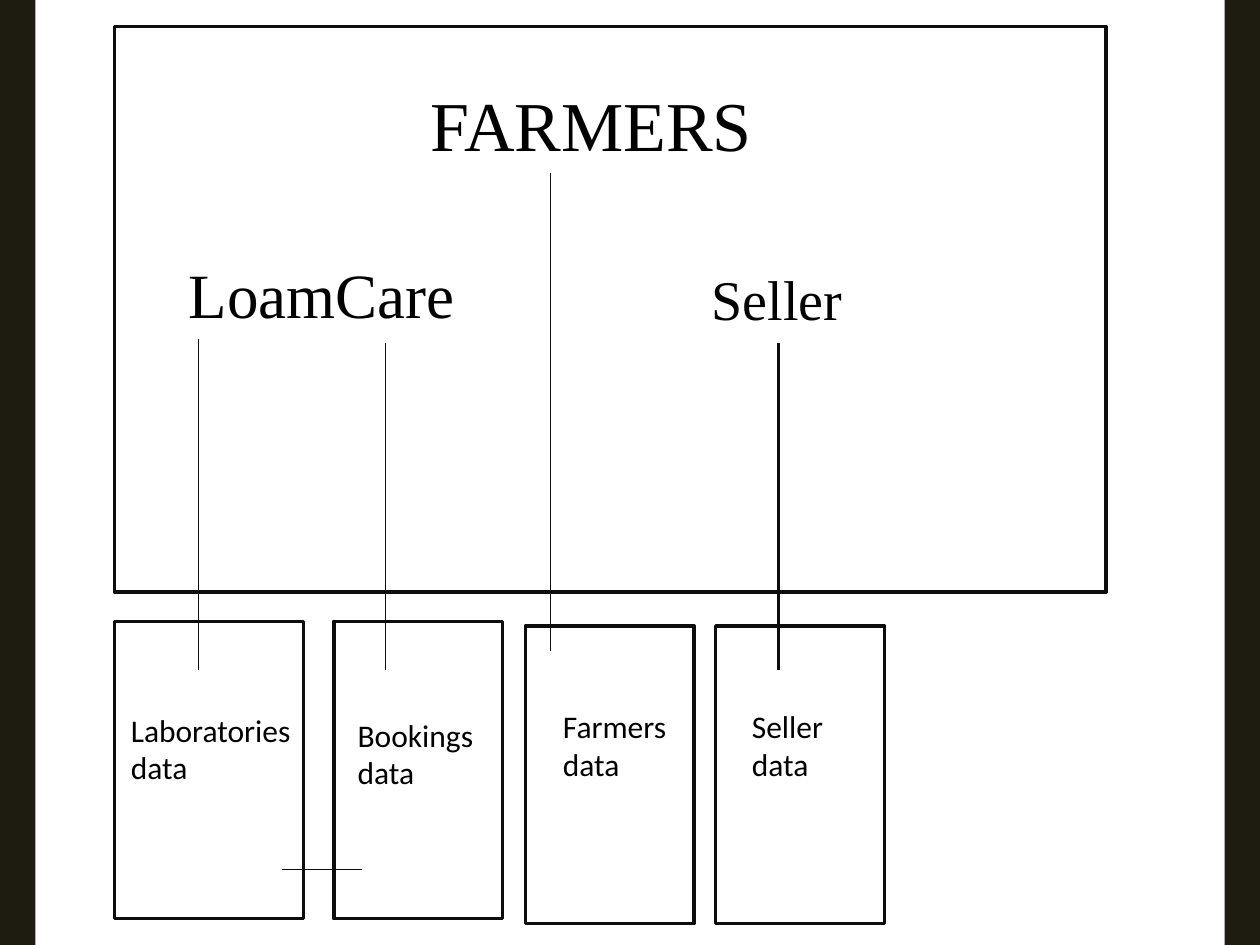
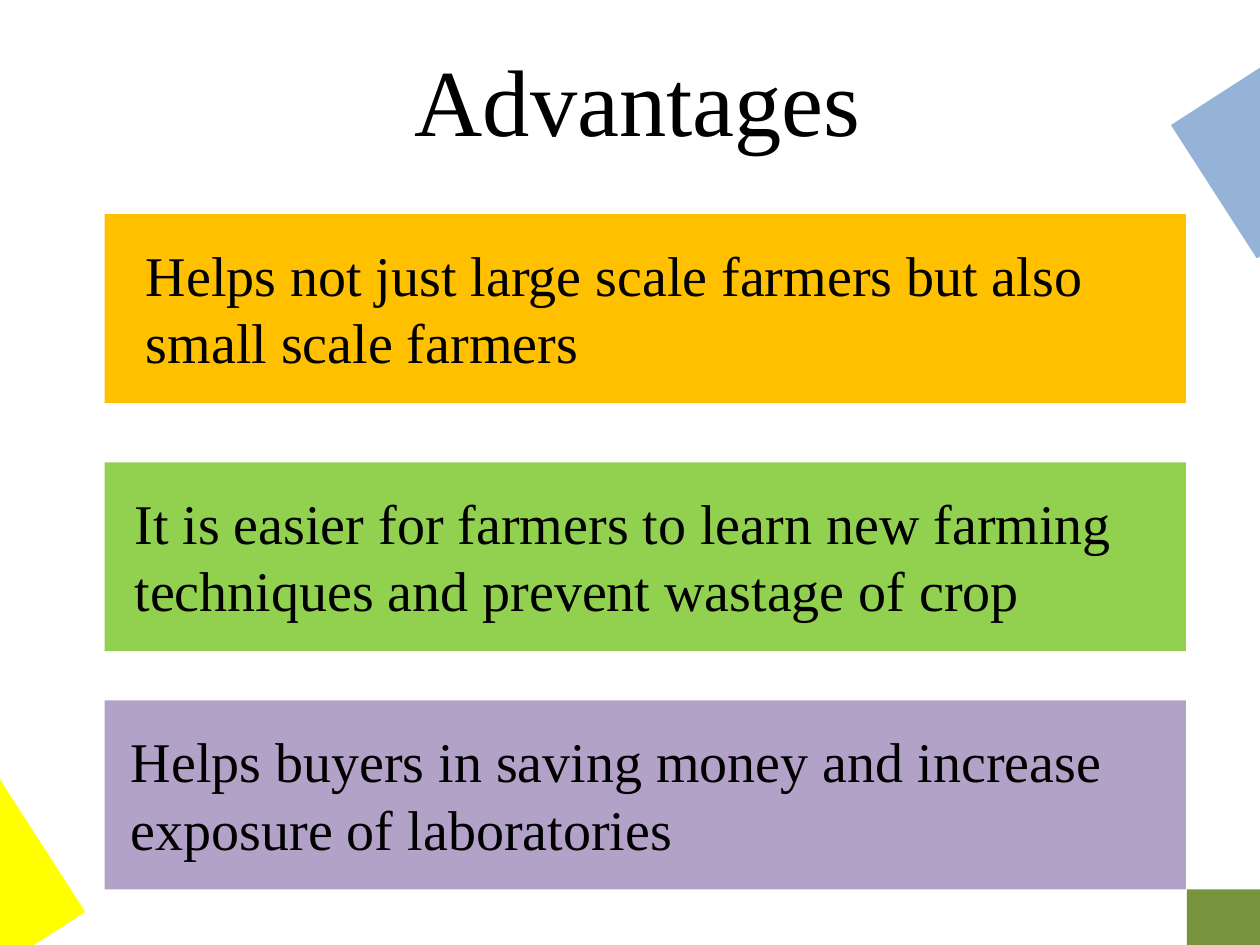
from dataclasses import dataclass
from typing import NamedTuple

from lxml import etree
from pptx import Presentation
from pptx.dml.color import RGBColor
from pptx.enum.shapes import MSO_CONNECTOR, MSO_SHAPE
from pptx.enum.text import MSO_ANCHOR, MSO_AUTO_SIZE, PP_ALIGN
from pptx.oxml.ns import qn
from pptx.util import Pt

RECTANGLE = MSO_SHAPE.RECTANGLE
STRAIGHT = MSO_CONNECTOR.STRAIGHT
LEFT = PP_ALIGN.LEFT
TOP = MSO_ANCHOR.TOP
GROW = MSO_AUTO_SIZE.SHAPE_TO_FIT_TEXT

TITLE_ONLY, BLANK = 5, 6


@dataclass(frozen=True)
class Theme:
    paper: str = "FFFFFF"
    text: str = "000000"
    outline: str = "0D0D0D"
    side: str = "1E1C11"
    amber: str = "FFC000"
    green: str = "92D050"
    lilac: str = "B3A2C7"
    yellow: str = "FFFF00"
    blue: str = "95B3D7"
    olive: str = "77933C"
    serif: str = "Times New Roman"
    sans: str = "Calibri"
    title_size: float = 54
    root_size: float = 40
    product_size: float = 36
    body_size: float = 32
    label_size: float = 18
    box_line: float = 2
    thick_link: float = 1.5
    thin_link: float = 0.75


THEME = Theme()
PAGE_WIDTH, PAGE_HEIGHT = 720, 540


class Area(NamedTuple):
    left: float
    top: float
    width: float
    height: float


class Heading(NamedTuple):
    text: str
    area: Area
    size: float


class Store(NamedTuple):
    """A data box with its label of two lines."""
    name: str
    box: Area
    label: Area


class Link(NamedTuple):
    x1: float
    y1: float
    x2: float
    y2: float
    weight: float = THEME.thin_link


class Advantage(NamedTuple):
    text: str
    color: str
    top: float
    text_left: float
    text_width: float


class Corner(NamedTuple):
    left: float
    top: float
    color: str
    rotation: float = 0


# Data flow content
FRAME = Area(65.5, 15.1, 566.6, 323.3)
HEADINGS = (
    Heading("FARMERS", Area(239, 43.2, 218.9, 55.4), THEME.root_size),
    Heading("LoamCare", Area(100.8, 142.6, 175.7, 51.1), THEME.product_size),
    Heading("Seller", Area(399.6, 147.6, 215.3, 46.1), THEME.body_size),
)
STORE_HEIGHT, STORE_WIDTH, LABEL_HEIGHT = 170, 96.5, 51.1
STORES = (
    Store("Laboratories", Area(65.5, 355, 108, STORE_HEIGHT),
          Area(67.7, 402.5, 108, LABEL_HEIGHT)),
    Store("Bookings", Area(190.8, 355, STORE_WIDTH, STORE_HEIGHT),
          Area(197.3, 405.4, 84.2, LABEL_HEIGHT)),
    Store("Farmers", Area(300.2, 357.8, STORE_WIDTH, STORE_HEIGHT),
          Area(314.6, 400.3, 73.4, LABEL_HEIGHT)),
    Store("Seller", Area(409, 357.8, STORE_WIDTH, STORE_HEIGHT),
          Area(422.6, 400.3, 67.7, LABEL_HEIGHT)),
)
LINKS = (
    Link(113.4, 193.7, 113.4, 383),
    Link(220.3, 195.8, 220.3, 383),
    Link(314.6, 98.6, 314.6, 372.2),
    Link(445, 195.8, 445, 383, THEME.thick_link),
    Link(161.3, 496.8, 206.6, 496.8),
)
SIDE_WIDTH = 20.2

# Advantages content
TITLE_AREA = Area(229.7, 20.2, 272.2, 72.7)
BAND_LEFT, BAND_WIDTH, BAND_HEIGHT = 59.8, 617.8, 108
BAND_TEXT_HEIGHT = 85
ADVANTAGES = (
    Advantage("Helps not just large scale farmers but also small scale farmers",
              THEME.amber, 122.4, 76.3, 566.6),
    Advantage("It is easier for farmers to learn new farming techniques "
              "and prevent wastage of crop",
              THEME.green, 264.2, 69.8, 583.9),
    Advantage("Helps buyers in saving money and increase exposure of laboratories",
              THEME.lilac, 400.3, 67.7, 601.2),
)
CORNER_WIDTH, CORNER_HEIGHT, CORNER_TILT = 93.6, 90.7, 327.2
CORNERS = (
    Corner(-61.9, 463, THEME.yellow, CORNER_TILT),
    Corner(686.2, 38.9, THEME.blue, CORNER_TILT),
    Corner(678.2, 508.3, THEME.olive),
)


def rgb(color: str) -> RGBColor:
    return RGBColor.from_string(color)


def apply(target, values: dict) -> None:
    for name, value in values.items():
        setattr(target, name, value)


def add_page(deck, layout: int):
    page = deck.slides.add_slide(deck.slide_layouts[layout])
    page.background.fill.solid()
    page.background.fill.fore_color.rgb = rgb(THEME.paper)
    return page


def add_box(page, area: Area, fill: str | None = None,
            outline: str | None = None, rotation: float = 0) -> None:
    box = page.shapes.add_shape(RECTANGLE, *map(Pt, area))
    box.shadow.inherit = False
    box.rotation = rotation
    if fill:
        box.fill.solid()
        box.fill.fore_color.rgb = rgb(fill)
    else:
        box.fill.background()
    if outline:
        box.line.color.rgb = rgb(outline)
        box.line.width = Pt(THEME.box_line)
    else:
        box.line.fill.background()


def write(box, lines: tuple[str, ...], size: float, font: str) -> None:
    frame = box.text_frame
    apply(frame, {"word_wrap": True, "auto_size": GROW, "vertical_anchor": TOP})
    for index, line in enumerate(lines):
        para = frame.add_paragraph() if index else frame.paragraphs[0]
        para.alignment = LEFT
        span = para.add_run()
        span.text = line
        apply(span.font, {"name": font, "size": Pt(size)})
        span.font.color.rgb = rgb(THEME.text)


def add_text(page, area: Area, lines: tuple[str, ...], size: float,
             font: str = THEME.serif) -> None:
    write(page.shapes.add_textbox(*map(Pt, area)), lines, size, font)


def add_title(page, area: Area, text: str) -> None:
    title = page.shapes.title
    names = ("left", "top", "width", "height")
    apply(title, dict(zip(names, map(Pt, area))))
    write(title, (text,), THEME.title_size, THEME.serif)


def add_link(page, link: Link) -> None:
    line = page.shapes.add_connector(STRAIGHT, *map(Pt, link[:4]))
    line.line.color.rgb = rgb(THEME.outline)
    line.line.width = Pt(link.weight)
    etree.SubElement(line._element.spPr, qn("a:effectLst"))


def build_data_flow(deck) -> None:
    page = add_page(deck, BLANK)
    # Users and the data they own
    add_box(page, FRAME, outline=THEME.outline)
    for heading in HEADINGS:
        add_text(page, heading.area, (heading.text,), heading.size)
    for store in STORES:
        add_box(page, store.box, outline=THEME.outline)
        add_text(page, store.label, (store.name, "data"),
                 THEME.label_size, THEME.sans)
    for link in LINKS:
        add_link(page, link)
    # Dark side bands
    for left in (0, PAGE_WIDTH - SIDE_WIDTH):
        add_box(page, Area(left, 0, SIDE_WIDTH, PAGE_HEIGHT), fill=THEME.side)


def build_advantages(deck) -> None:
    page = add_page(deck, TITLE_ONLY)
    add_title(page, TITLE_AREA, "Advantages")
    # Coloured bands with text centred by height
    inset = (BAND_HEIGHT - BAND_TEXT_HEIGHT) / 2
    for item in ADVANTAGES:
        add_box(page, Area(BAND_LEFT, item.top, BAND_WIDTH, BAND_HEIGHT),
                fill=item.color)
        add_text(page, Area(item.text_left, item.top + inset,
                            item.text_width, BAND_TEXT_HEIGHT),
                 (item.text,), THEME.body_size)
    # Corner decoration
    for corner in CORNERS:
        add_box(page, Area(corner.left, corner.top, CORNER_WIDTH, CORNER_HEIGHT),
                fill=corner.color, rotation=corner.rotation)


def main() -> None:
    deck = Presentation()
    apply(deck, {"slide_width": Pt(PAGE_WIDTH), "slide_height": Pt(PAGE_HEIGHT)})
    build_data_flow(deck)
    build_advantages(deck)
    deck.save("out.pptx")


if __name__ == "__main__":
    main()
